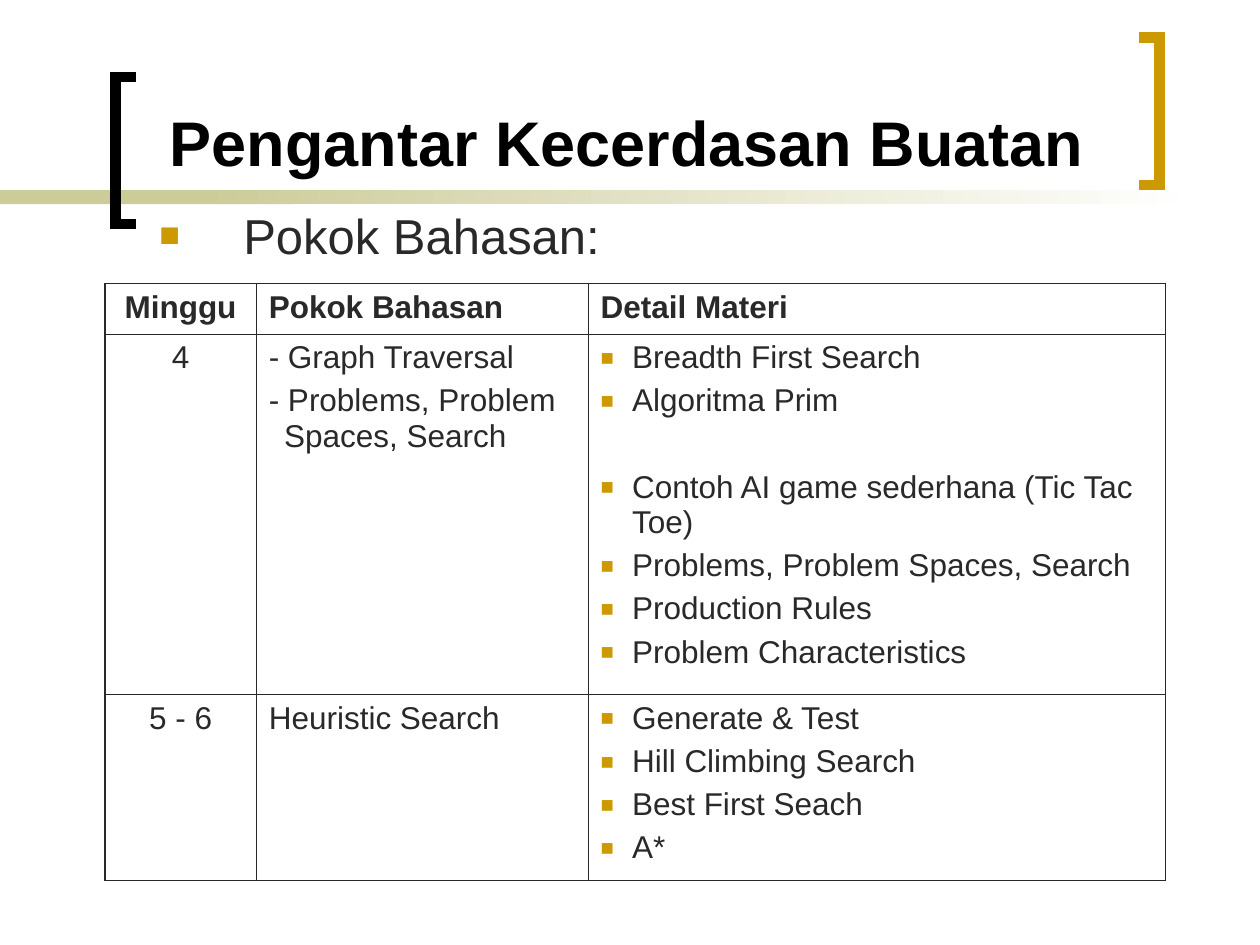
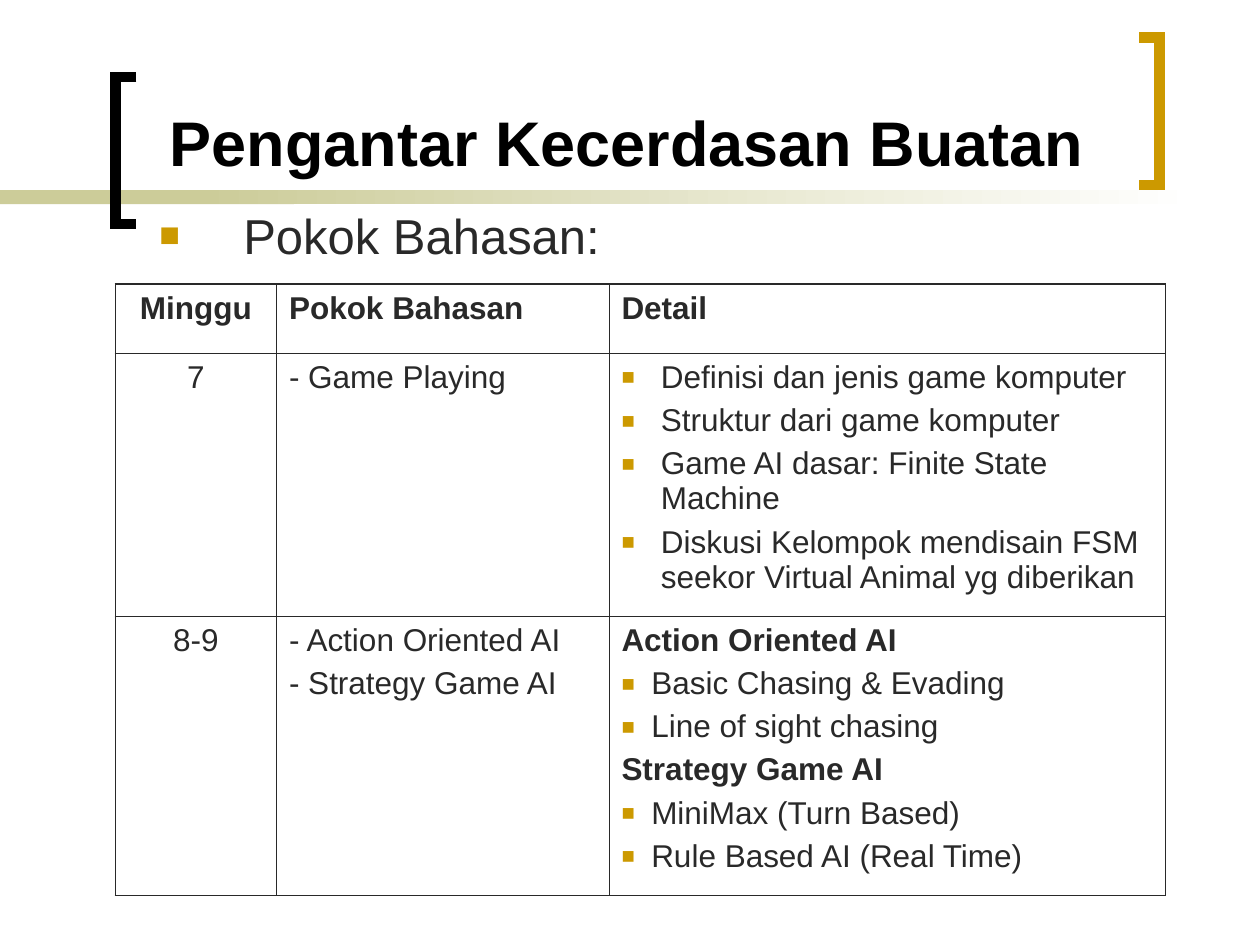
from dataclasses import dataclass

from lxml import etree
from pptx import Presentation
from pptx import util as u
from pptx.dml.color import RGBColor
from pptx.enum import shapes, text
from pptx.oxml import ns

INK, BLACK, GOLD = "292929", "000000", "CC9900"
SAND, WHITE = "CCCC99", "FFFFFF"
FONT = "Arial"
OUTER_LINE, INNER_LINE = 1.08, 0.45
LEFT, CENTER = text.PP_ALIGN.LEFT, text.PP_ALIGN.CENTER


@dataclass
class Item:
    """One paragraph and its format; lengths are in points."""
    text: str
    size: float = 18
    color: str = INK
    bold: bool = False
    bullet: bool = False
    indent: float = 0
    before: float = 4.5
    align: int = LEFT


def rgb(color):
    return RGBColor.from_string(color)


def child(parent, tag, **attributes):
    return etree.SubElement(parent, ns.qn(tag), attributes)


def bullets(lines, indent):
    return [Item(line, bullet=True, indent=indent) for line in lines]


class Deck:
    def __init__(self):
        self.presentation = Presentation()
        self.presentation.slide_width = u.Pt(720)
        self.presentation.slide_height = u.Pt(540)
        self.slide = None

    def add_slide(self):
        """Start a slide with the shared band and brackets."""
        self.slide = self.presentation.slides.add_slide(self.presentation.slide_layouts[6])
        self.band(0, 168, SAND)
        self.band(114, 570, SAND, WHITE)
        self.bracket(78, 66, 43.9, BLACK)
        self.bracket(651, 662.6, 21.6, GOLD)

    def add_headings(self):
        self.text_box(90, 12, 546, 94, text.MSO_ANCHOR.BOTTOM,
                      Item("Pengantar Kecerdasan Buatan", 36, BLACK, bold=True, before=0))
        self.text_box(84, 114, 624, 42, text.MSO_ANCHOR.TOP,
                      Item("Pokok Bahasan:", 28, bullet=True, indent=48, before=7))

    def band(self, left, width, color, end_color=None):
        shape = self.slide.shapes.add_shape(
            shapes.MSO_SHAPE.RECTANGLE, u.Pt(left), u.Pt(108.7), u.Pt(width), u.Pt(8))
        shape.shadow.inherit = False
        shape.line.fill.background()
        if end_color is None:
            shape.fill.solid()
            shape.fill.fore_color.rgb = rgb(color)
            return
        shape.fill.gradient()
        shape.fill.gradient_angle = 0
        for stop, position, stop_color in zip(shape.fill.gradient_stops, (0, 1), (color, end_color)):
            stop.position = position
            stop.color.rgb = rgb(stop_color)

    def bracket(self, tip, spine, top, color):
        bottom = top + 84.2
        builder = self.slide.shapes.build_freeform(u.Pt(tip), u.Pt(top))
        corners = [(spine, top), (spine, bottom), (tip, bottom)]
        builder.add_line_segments([(u.Pt(x), u.Pt(y)) for x, y in corners], close=False)
        shape = builder.convert_to_shape()
        shape.shadow.inherit = False
        shape.fill.background()
        shape.line.color.rgb = rgb(color)
        shape.line.width = u.Pt(6)
        outline = shape._element.spPr.find(ns.qn("a:ln"))
        child(outline, "a:miter", lim="800000")

    def text_box(self, left, top, width, height, anchor, item):
        shape = self.slide.shapes.add_textbox(u.Pt(left), u.Pt(top), u.Pt(width), u.Pt(height))
        shape.text_frame.word_wrap = True
        shape.text_frame.vertical_anchor = anchor
        self.fill_text(shape.text_frame, [item])

    def fill_text(self, text_frame, items):
        text_frame.text = "\n".join(item.text for item in items)
        for paragraph, item in zip(text_frame.paragraphs, items):
            paragraph.alignment = item.align
            paragraph.space_before = u.Pt(item.before)
            properties = paragraph._p.get_or_add_pPr()
            properties.set("marL", str(u.Pt(item.indent)))
            properties.set("indent", str(u.Pt(-item.indent)))
            if item.bullet:
                child(child(properties, "a:buClr"), "a:srgbClr", val=GOLD)
                child(properties, "a:buSzPct", val="70000")
                child(properties, "a:buFont", typeface=FONT)
                child(properties, "a:buChar", char="■")
            for run in paragraph.runs:
                run.font.name = FONT
                run.font.size = u.Pt(item.size)
                run.font.bold = item.bold
                run.font.color.rgb = rgb(item.color)

    def border(self, cell, side, width):
        line = child(cell._tc.get_or_add_tcPr(), f"a:ln{side}", w=str(u.Pt(width)))
        child(child(line, "a:solidFill"), "a:srgbClr", val=INK)

    def table(self, left, top, widths, heights, row_line, header, rows):
        """Rows hold a week and two lists of items."""
        frame = self.slide.shapes.add_table(
            len(heights), len(widths), u.Pt(left), u.Pt(top), u.Pt(sum(widths)), u.Pt(sum(heights)))
        table = frame.table
        table.first_row = table.horz_banding = False
        for column, width in zip(table.columns, widths):
            column.width = u.Pt(width)
        for row, height in zip(table.rows, heights):
            row.height = u.Pt(height)

        content = [[[Item(label, bold=True)] for label in header]]
        content += [[[Item(week)], topics, details] for week, topics, details in rows]
        last_column = len(widths) - 1
        for r, cells in enumerate(content):
            cells[0][0].align = CENTER
            for c, items in enumerate(cells):
                cell = table.cell(r, c)
                self.border(cell, "L", OUTER_LINE if c == 0 else INNER_LINE)
                self.border(cell, "R", OUTER_LINE if c == last_column else INNER_LINE)
                self.border(cell, "T", OUTER_LINE if r == 0 else row_line)
                self.border(cell, "B", row_line)
                cell.fill.background()
                self.fill_text(cell.text_frame, items)


def main():
    deck = Deck()

    # Weeks 4 to 6
    search_details = bullets(
        ["Breadth First Search", "Algoritma Prim", "Contoh AI game sederhana (Tic Tac Toe)",
         "Problems, Problem Spaces, Search", "Production Rules", "Problem Characteristics"], 18)
    search_details[2].before = 29.2  # separates the two topics
    deck.add_slide()
    deck.table(
        60, 162, [86.4, 189.6, 330], [28.8, 206, 106.5], 0.45,
        ["Minggu", "Pokok Bahasan", "Detail Materi"],
        [("4",
          [Item("- Graph Traversal", indent=8.8),
           Item("- Problems, Problem Spaces, Search", indent=8.8)],
          search_details),
         ("5 - 6",
          [Item("Heuristic Search")],
          bullets(["Generate & Test", "Hill Climbing Search", "Best First Seach", "A*"], 18))])
    deck.add_headings()

    # Weeks 7 to 9
    deck.add_slide()
    deck.table(
        66, 162.4, [92, 190, 318], [39.6, 149.8, 158.4], 0.75,
        ["Minggu", "Pokok Bahasan", "Detail"],
        [("7",
          [Item("- Game Playing", indent=8.8)],
          bullets(["Definisi dan jenis game komputer", "Struktur dari game komputer",
                   "Game AI dasar: Finite State Machine",
                   "Diskusi Kelompok mendisain FSM seekor Virtual Animal yg diberikan"], 22.5)),
         ("8-9",
          [Item("- Action Oriented AI"), Item("- Strategy Game AI")],
          [Item("Action Oriented AI", bold=True),
           *bullets(["Basic Chasing & Evading", "Line of sight chasing"], 17),
           Item("Strategy Game AI", bold=True),
           *bullets(["MiniMax (Turn Based)", "Rule Based AI (Real Time)"], 17)])])
    deck.add_headings()

    deck.presentation.save("out.pptx")


if __name__ == "__main__":
    main()
